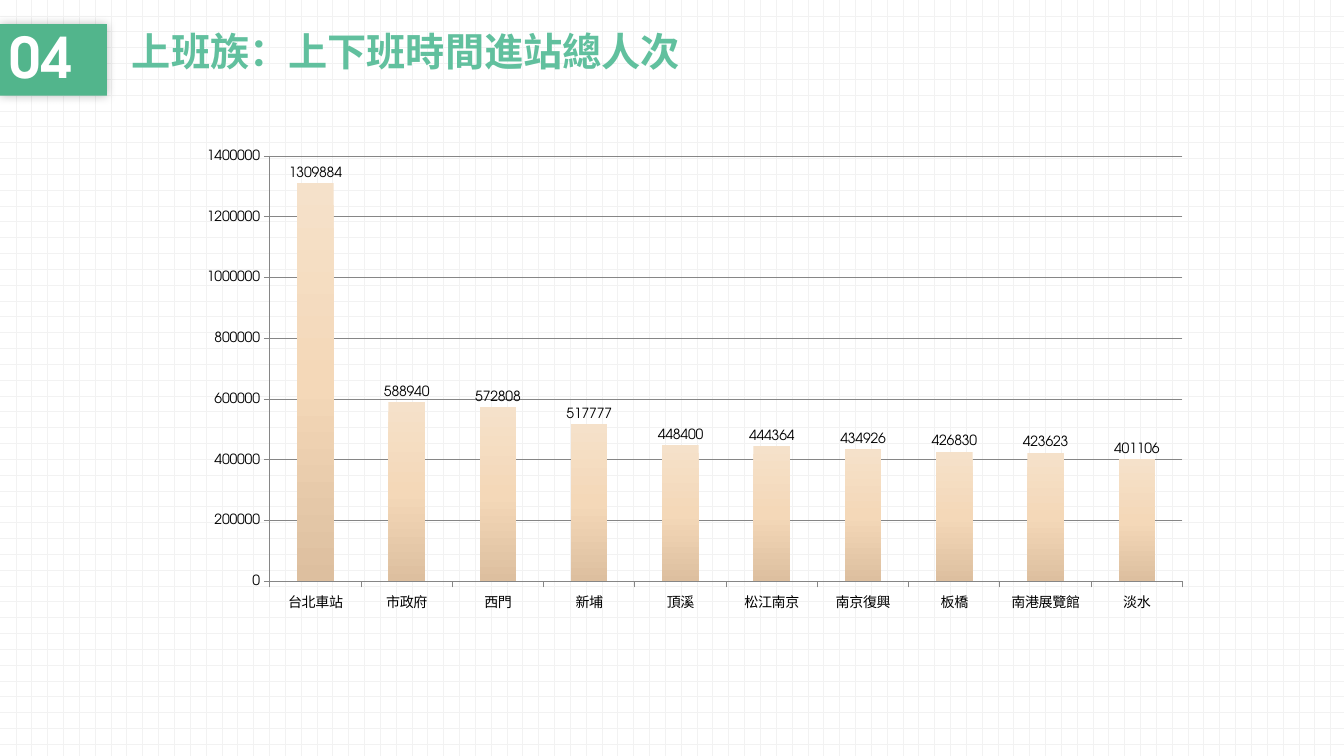
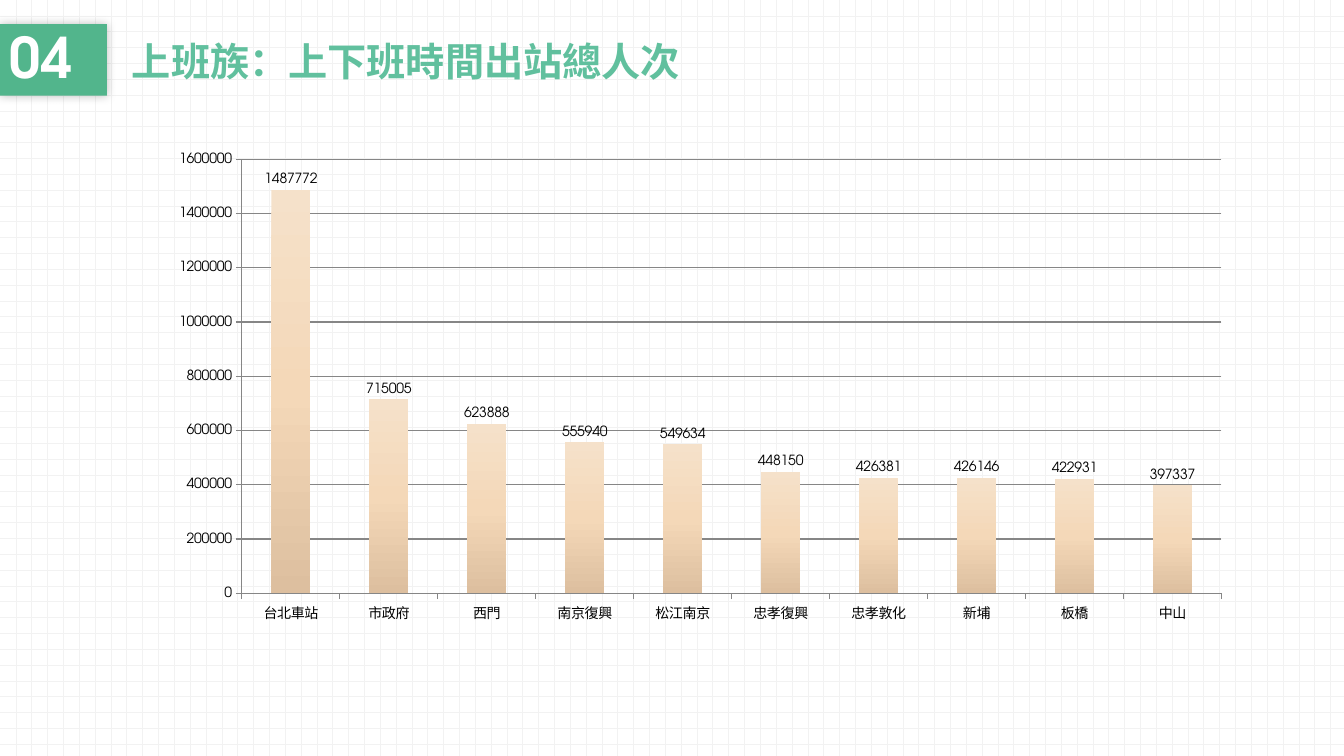
"""Build two slides of column charts on station entries and exits in commuting hours."""
from copy import deepcopy

from lxml.etree import SubElement
from pptx import Presentation
from pptx.chart.data import CategoryChartData
from pptx.dml.color import RGBColor
from pptx.enum.chart import XL_CHART_TYPE, XL_LABEL_POSITION, XL_TICK_MARK
from pptx.enum.dml import MSO_PATTERN
from pptx.enum.shapes import MSO_SHAPE
from pptx.enum.text import MSO_ANCHOR, PP_ALIGN
from pptx.oxml import parse_xml
from pptx.oxml.ns import nsdecls, qn
from pptx.util import Inches, Pt

SLIDES = [
    {
        "title": "上班族：上下班時間進站總人次",
        "title_top": 0.04,
        "chart_box": (1.85, 1.39, 10.08, 4.77),
        "data": [
            ("台北車站", 1309884), ("市政府", 588940), ("西門", 572808),
            ("新埔", 517777), ("頂溪", 448400), ("松江南京", 444364),
            ("南京復興", 434926), ("板橋", 426830), ("南港展覽館", 423623),
            ("淡水", 401106),
        ],
    },
    {
        "title": "上班族：上下班時間出站總人次",
        "title_top": 0.14,
        "chart_box": (1.56, 1.42, 10.77, 4.86),
        "data": [
            ("台北車站", 1487772), ("市政府", 715005), ("西門", 623888),
            ("南京復興", 555940), ("松江南京", 549634), ("忠孝復興", 448150),
            ("忠孝敦化", 426381), ("新埔", 426146), ("板橋", 422931),
            ("中山", 397337),
        ],
    },
]
SECTION = "04"

LATIN, CJK = "TeX Gyre Adventor", "Noto Sans CJK SC"
WHITE = RGBColor(0xFF, 0xFF, 0xFF)
BLACK = RGBColor(0, 0, 0)
GRID = RGBColor(0xF2, 0xF2, 0xF2)
GREEN = RGBColor(0x52, 0xB5, 0x8C)
TITLE_GREEN = RGBColor(0x61, 0xC0, 0x9E)
AXIS_GRAY = RGBColor(0x86, 0x86, 0x86)
BAR_COLORS = [RGBColor(0xF5, 0xE1, 0xCA), RGBColor(0xF4, 0xD8, 0xB8),
              RGBColor(0xDD, 0xBF, 0x9F)]


def write(sp, text, size, color, font, line_spacing=1.0):
    tf = sp.text_frame
    tf.word_wrap = True
    tf.vertical_anchor = MSO_ANCHOR.MIDDLE
    p = tf.paragraphs[0]
    p.alignment = PP_ALIGN.LEFT
    p.line_spacing = line_spacing
    r = p.add_run()
    r.text = text
    r.font.size = Pt(size)
    r.font.bold = True
    r.font.color.rgb = color
    r.font.name = font
    SubElement(r.font._element, qn("a:ea")).set("typeface", font)


def add_badge(s):
    sp = s.shapes.add_shape(MSO_SHAPE.RECTANGLE, 0, Inches(0.24), Inches(1.06), Inches(0.71))
    sp.fill.solid()
    sp.fill.fore_color.rgb = GREEN
    sp.line.fill.background()
    sp.shadow.inherit = False
    sp._element.spPr.find(qn("a:effectLst")).append(parse_xml(
        f'<a:outerShdw {nsdecls("a")} blurRad="{Pt(7)}" dist="0" dir="0" algn="ctr" '
        'rotWithShape="0"><a:srgbClr val="000000"><a:alpha val="25000"/></a:srgbClr>'
        '</a:outerShdw>'))
    write(sp, SECTION, 40, WHITE, LATIN, line_spacing=0.9)


def fill_bars(series):
    fill = series.format.fill
    fill.gradient()
    fill.gradient_angle = 270
    stops = next(series._element.iter(qn("a:gsLst")))
    stops.append(deepcopy(stops[-1]))
    for i, (stop, color) in enumerate(zip(fill.gradient_stops, BAR_COLORS)):
        stop.position = i / (len(BAR_COLORS) - 1)
        stop.color.rgb = color


def add_column_chart(s, box, data):
    cd = CategoryChartData(number_format="General")
    cd.categories = [name for name, _ in data]
    cd.add_series("Series 1", [count for _, count in data])
    chart = s.shapes.add_chart(XL_CHART_TYPE.COLUMN_CLUSTERED, *map(Inches, box), cd).chart
    chart.has_legend = False
    chart.has_title = False
    chart.font.name = LATIN
    chart.font.size = Pt(10)
    chart.font.color.rgb = BLACK

    chart.value_axis.has_major_gridlines = True
    for axis in (chart.category_axis, chart.value_axis):
        axis.major_tick_mark = XL_TICK_MARK.OUTSIDE
        axis.format.line.color.rgb = AXIS_GRAY
    chart.value_axis.major_gridlines.format.line.color.rgb = AXIS_GRAY

    plot = chart.plots[0]
    plot.gap_width = 150
    plot.vary_by_categories = False
    plot.has_data_labels = True
    plot.data_labels.show_value = True
    plot.data_labels.position = XL_LABEL_POSITION.OUTSIDE_END
    fill_bars(plot.series[0])


def build_slide(prs, title, title_top, chart_box, data):
    s = prs.slides.add_slide(prs.slide_layouts[6])
    bg = s.background.fill
    bg.patterned()
    bg.pattern = MSO_PATTERN.DOTTED_GRID
    bg.fore_color.rgb = GRID
    bg.back_color.rgb = WHITE
    add_badge(s)
    title_box = s.shapes.add_textbox(
        Inches(1.21), Inches(title_top), Inches(7.3), Inches(0.92))
    write(title_box, title, 28, TITLE_GREEN, CJK)
    add_column_chart(s, chart_box, data)


def main():
    prs = Presentation()
    prs.slide_width, prs.slide_height = Inches(13.33), Inches(7.5)
    for content in SLIDES:
        build_slide(prs, **content)
    prs.save("out.pptx")


if __name__ == "__main__":
    main()
